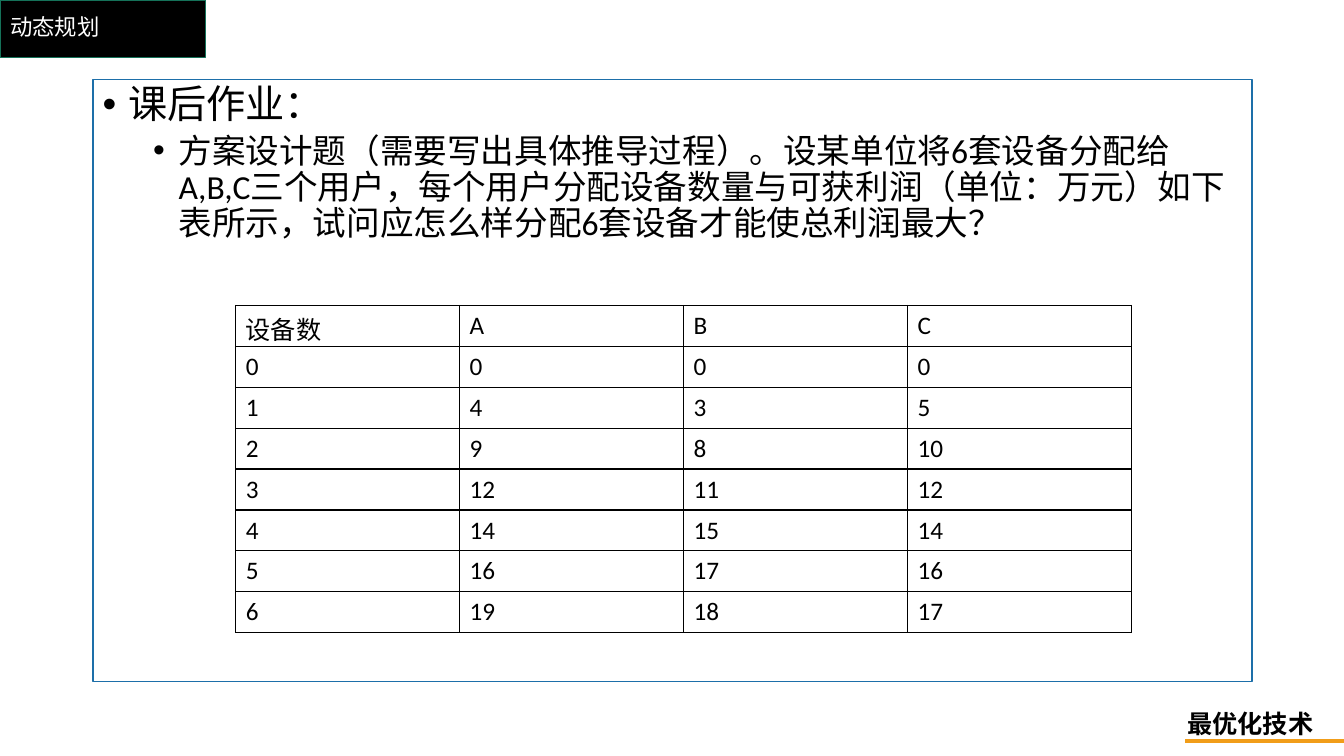
"""Builds the homework slide on dynamic programming with its profit table."""
from dataclasses import dataclass

from lxml import etree
from pptx import Presentation
from pptx.dml.color import RGBColor
from pptx.enum.shapes import MSO_CONNECTOR, MSO_SHAPE
from pptx.enum.text import MSO_ANCHOR, MSO_AUTO_SIZE, PP_ALIGN
from pptx.oxml.ns import qn
from pptx.util import Cm, Pt

RECTANGLE = MSO_SHAPE.RECTANGLE
STRAIGHT = MSO_CONNECTOR.STRAIGHT
MIDDLE = MSO_ANCHOR.MIDDLE
NO_FIT, GROW = MSO_AUTO_SIZE.NONE, MSO_AUTO_SIZE.SHAPE_TO_FIT_TEXT
LEFT = PP_ALIGN.LEFT


@dataclass(frozen=True)
class Theme:
    font: str = "Calibri"
    black: str = "000000"
    white: str = "FFFFFF"
    green: str = "157259"
    blue: str = "1D6FA9"
    orange: str = "F19D19"
    title: int = 16
    label: int = 18
    heading: int = 28
    body: int = 24


theme = Theme()


def style(para, size, color, bold=False):
    """Formats every run of a paragraph."""
    for span in para.runs:
        span.font.name = theme.font
        span.font.size = Pt(size)
        span.font.bold = bold
        span.font.color.rgb = RGBColor.from_string(color)


def outline(line, color, width):
    """Gives a line its colour and width in points."""
    line.color.rgb = RGBColor.from_string(color)
    line.width = Pt(width)


deck = Presentation()
deck.slide_width, deck.slide_height = Cm(33.87), Cm(19.05)
page = deck.slides.add_slide(deck.slide_layouts[5])

plate = page.shapes.add_shape(RECTANGLE, 0, 0, Cm(5.18), Cm(1.45))
plate.shadow.inherit = False
plate.fill.solid()
plate.fill.fore_color.rgb = RGBColor.from_string(theme.black)
outline(plate.line, theme.green, 1)

title = page.shapes.title
title.left, title.top, title.width, title.height = 0, 0, Cm(29.21), Cm(1.45)
title.text_frame.text = "动态规划"
title.text_frame.vertical_anchor = MIDDLE
title.text_frame.auto_size = NO_FIT
para = title.text_frame.paragraphs[0]
para.alignment = LEFT
para.line_spacing = 0.9
style(para, theme.title, theme.white)
title.element.addprevious(plate.element)

course = page.shapes.add_textbox(Cm(29.67), Cm(17.73), Cm(3.71), Cm(1.02))
course.text_frame.text = "最优化技术"
course.text_frame.word_wrap = False
course.text_frame.auto_size = GROW
style(course.text_frame.paragraphs[0], theme.label, theme.black, bold=True)

underline = page.shapes.add_connector(STRAIGHT, Cm(29.87), Cm(18.67), Cm(33.87), Cm(18.67))
outline(underline.line, theme.orange, 2.5)
etree.SubElement(underline.element.spPr, qn("a:effectLst"))

homework = page.shapes.add_textbox(Cm(2.34), Cm(2.01), Cm(29.21), Cm(15.16))
outline(homework.line, theme.blue, 1)
frame = homework.text_frame
frame.word_wrap = True
frame.text = (
    "课后作业：\n"
    "方案设计题（需要写出具体推导过程）。设某单位将6套设备分配给A,B,C三个用户，"
    "每个用户分配设备数量与可获利润（单位：万元）如下表所示，"
    "试问应怎么样分配6套设备才能使总利润最大？"
)
levels = [(theme.heading, 0.64, 0), (theme.body, 1.91, 5)]
for level, (para, (size, indent, gap)) in enumerate(zip(frame.paragraphs, levels)):
    para.level = level
    para.line_spacing = 0.9
    para.space_before = Pt(gap)
    properties = para._p.get_or_add_pPr()
    properties.set("marL", str(Cm(indent)))
    properties.set("indent", str(Cm(-0.64)))
    etree.SubElement(properties, qn("a:buFont"), typeface="Arial")
    etree.SubElement(properties, qn("a:buChar"), char="•")
    style(para, size, theme.black)

profits = [
    ("设备数", "A", "B", "C"),
    (0, 0, 0, 0),
    (1, 4, 3, 5),
    (2, 9, 8, 10),
    (3, 12, 11, 12),
    (4, 14, 15, 14),
    (5, 16, 17, 16),
    (6, 19, 18, 17),
]
table = page.shapes.add_table(
    len(profits), len(profits[0]), Cm(5.94), Cm(7.7), Cm(22.58), Cm(8.24)
).table
table.first_row = False
table.horz_banding = False
for row, values in enumerate(profits):
    for column, value in enumerate(values):
        cell = table.cell(row, column)
        cell.text = str(value)
        style(cell.text_frame.paragraphs[0], theme.label, theme.black)
        borders = cell._tc.get_or_add_tcPr()
        for side in ("a:lnL", "a:lnR", "a:lnT", "a:lnB"):
            border = etree.SubElement(borders, qn(side), w=str(Pt(1)))
            fill = etree.SubElement(border, qn("a:solidFill"))
            etree.SubElement(fill, qn("a:srgbClr"), val=theme.black)
        cell.fill.background()

deck.save("out.pptx")
